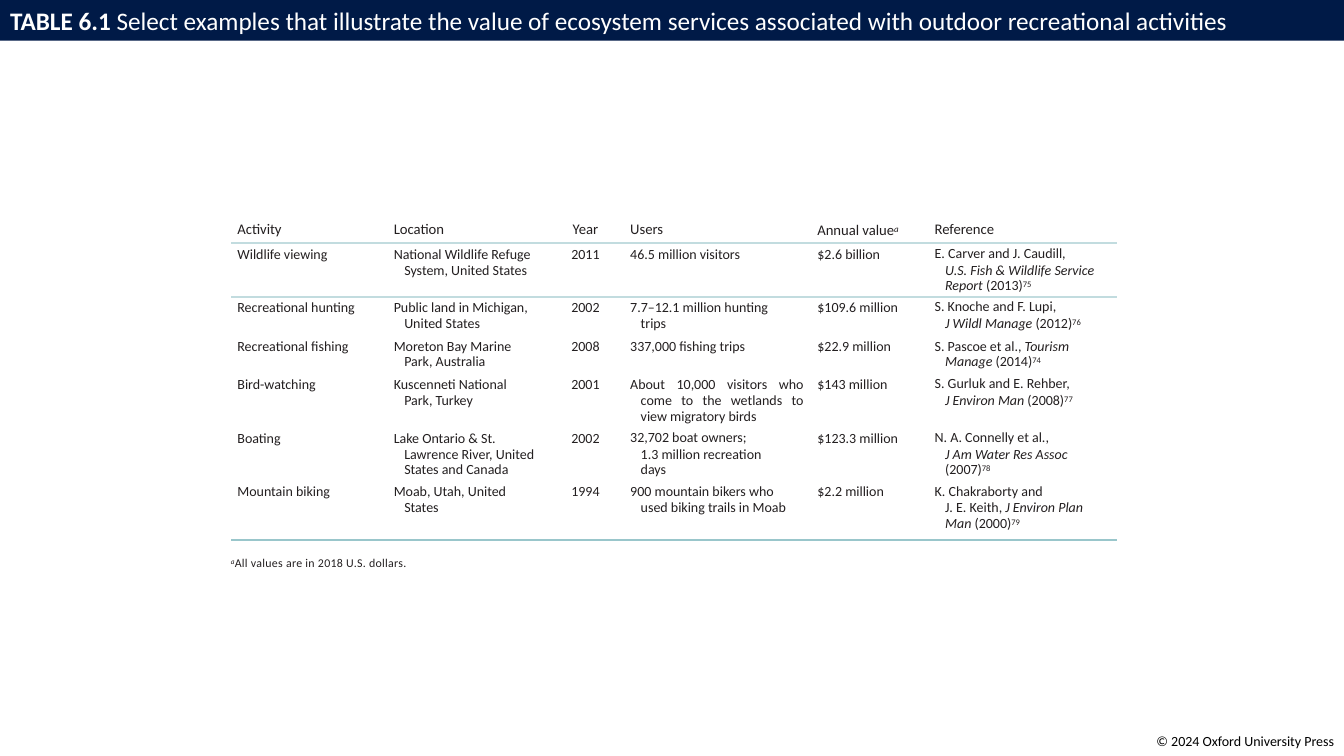
"""Build a slide with a table of ecosystem service values."""
from dataclasses import dataclass

from lxml.etree import SubElement
from pptx import Presentation
from pptx.dml.color import RGBColor
from pptx.enum.text import MSO_ANCHOR as Anchor, MSO_AUTO_SIZE as Fit, PP_ALIGN as Align
from pptx.oxml.ns import qn
from pptx.util import Pt

DARK, NAVY, WHITE, BLACK = "231F20", "001A47", "FFFFFF", "000000"
PALE, TEAL = "C2DCDF", "99C6CB"
HANG = 7.5
PLAIN_STYLE = "{2D5ABB26-0587-4C30-8999-92F81FD0307C}"


@dataclass
class Column:
    head: str
    width: float
    left: float
    right: float = 0
    hang: bool = False
    align: Align = Align.LEFT


COLUMNS = [
    Column("Activity", 108, 4.6),
    Column("Location", 126.7, 8.3, 14, True),
    Column("Year", 41, 0, 4, align=Align.CENTER),
    Column("Users", 138.2, 9.5, 5, True),
    Column("Annual value|_^a", 80.3, 5),
    Column("Reference", 138.7, 8.5, 10, True),
]
HEIGHTS = [15.8, 38.7, 27.5, 27.5, 38.3, 38.3, 41.8]
ROWS = [
    ["Wildlife viewing", "National Wildlife Refuge System, United States", "2011",
     "46.5 million visitors", "$2.6 billion",
     "E. Carver and J. Caudill,\n_U.S. Fish & Wildlife Service Report |(2013)|^75"],
    ["Recreational hunting", "Public land in Michigan, United States", "2002",
     "7.7–12.1 million hunting trips", "$109.6 million",
     "S. Knoche and F. Lupi,\n_J Wildl Manage |(2012)|^76"],
    ["Recreational fishing", "Moreton Bay Marine Park, Australia", "2008",
     "337,000 fishing trips", "$22.9 million",
     "S. Pascoe et al., |_Tourism Manage |(2014)|^74"],
    ["Bird-watching", "Kuscenneti National Park, Turkey", "2001",
     "About 10,000 visitors who come to the wetlands to view migratory birds",
     "$143 million", "S. Gurluk and E. Rehber,\n_J Environ Man |(2008)|^77"],
    ["Boating", "Lake Ontario & St. Lawrence River, United States and Canada", "2002",
     "32,702 boat owners;\n1.3 million recreation days", "$123.3 million",
     "N. A. Connelly et al.,\n_J Am Water Res Assoc\n(2007)|^78"],
    ["Mountain biking", "Moab, Utah, United States", "1994",
     "900 mountain bikers who used biking trails in Moab", "$2.2 million",
     "K. Chakraborty and\nJ. E. Keith, |_J Environ Plan Man |(2000)|^79"],
]
RIGHTS = {(2, 3): 18, (3, 1): 28, (4, 1): 28, (5, 3): 18}
ALIGNS = {(4, 3): Align.JUSTIFY}
RULES = {0: PALE, 1: PALE, 6: TEAL}


def ink(code: str) -> RGBColor:
    return RGBColor.from_string(code)


def write(para, text: str, size: float = 10, color: str = DARK, align=Align.LEFT,
          left: float = 0, first: float = 0, right: float = 0, line: float = 0,
          before: float = 0, gap: float = 0) -> None:
    """Fill a paragraph; pieces split by | may start with * bold, _ italic, ^ raised."""
    para.alignment = align
    props = para._p.get_or_add_pPr()
    for name, value in (("marL", left), ("marR", right), ("indent", first)):
        props.set(name, f"{int(Pt(value))}")
    if line:
        para.line_spacing = Pt(line)
    if before:
        para.space_before = Pt(before)
    for piece in text.split("|"):
        body = piece.lstrip("*_^")
        marks = piece[:len(piece) - len(body)]
        run = para.add_run()
        run.text = body
        font = run.font
        font.name, font.bold, font.italic = "Calibri", "*" in marks, "_" in marks
        font.size = Pt(size + 0.5 if "^" in marks else size)
        font.color.rgb = ink(color)
        tags = run._r.get_or_add_rPr()
        if "^" in marks:
            tags.set("baseline", "20000")
        if gap:
            tags.set("spc", f"{round(gap * 100)}")


def pad(frame, left: float = 0, top: float = 0, right: float = 0, bottom: float = 0) -> None:
    frame.margin_left, frame.margin_top = Pt(left), Pt(top)
    frame.margin_right, frame.margin_bottom = Pt(right), Pt(bottom)


def rule(cell, color: str) -> None:
    edge = SubElement(cell._tc.get_or_add_tcPr(), qn("a:lnB"), w=f"{int(Pt(1.5))}")
    fill = SubElement(edge, qn("a:solidFill"))
    SubElement(fill, qn("a:srgbClr"), val=color)
    cell._tc.tcPr.insert(0, edge)


def fill_cell(cell, text: str, row: int, index: int) -> None:
    col = COLUMNS[index]
    lines = text.split("\n")
    hung = row > 0 and col.hang and len(lines) == 1
    top = 0 if row == 0 else (2.2 if row == 1 else 1.6) + hung
    pad(cell, top=top)
    cell.vertical_anchor = Anchor.TOP
    cell.fill.background()
    for place, line in enumerate(lines):
        para = cell.text_frame.add_paragraph() if place else cell.text_frame.paragraphs[0]
        pitch = 11.2 if hung or place else 11.6 if len(lines) > 1 else 0
        write(para, line, size=10 if row else 10.5,
              align=ALIGNS.get((row, index), col.align),
              left=col.left + (HANG if hung or place else 0),
              first=-HANG if hung else 0,
              right=RIGHTS.get((row, index), col.right) if row else col.right,
              line=pitch, before=0.6 if place == 1 else 0)
    if row in RULES:
        rule(cell, RULES[row])


def add_grid(slide) -> None:
    data = [[col.head for col in COLUMNS], *ROWS]
    frame = slide.shapes.add_table(len(data), len(COLUMNS), Pt(165), Pt(157.8),
                                   Pt(sum(col.width for col in COLUMNS)), Pt(sum(HEIGHTS)))
    grid = frame.table
    grid.first_row = grid.horz_banding = False
    grid._tbl.tblPr.find(qn("a:tableStyleId")).text = PLAIN_STYLE
    for slot, col in zip(grid.columns, COLUMNS):
        slot.width = Pt(col.width)
    for row, (texts, height) in enumerate(zip(data, HEIGHTS)):
        grid.rows[row].height = Pt(height)
        for index, text in enumerate(texts):
            fill_cell(grid.cell(row, index), text, row, index)


def add_text(slide, box: tuple, text: str, wrap: bool = True, **style):
    frame = slide.shapes.add_textbox(*map(Pt, box)).text_frame
    frame.word_wrap = wrap
    write(frame.paragraphs[0], text, **style)
    return frame


def add_title(slide, text: str) -> None:
    title = slide.shapes.title
    title.left, title.top, title.width, title.height = map(Pt, (0, 0, 960, 29))
    title.fill.solid()
    title.fill.fore_color.rgb = ink(NAVY)
    frame = title.text_frame
    frame.auto_size, frame.word_wrap = Fit.NONE, True
    frame.vertical_anchor = Anchor.MIDDLE
    pad(frame, 7.2, 3.6, 7.2, 3.6)
    write(frame.paragraphs[0], text, size=18, color=WHITE, line=0)


def main() -> None:
    deck = Presentation()
    deck.slide_width, deck.slide_height = Pt(960), Pt(540)
    slide = deck.slides.add_slide(deck.slide_layouts[5])
    add_title(slide, "*TABLE 6.1 |Select examples that illustrate the value of ecosystem "
                     "services associated with outdoor recreational activities")
    add_grid(slide)
    note = add_text(slide, (162, 395.3, 148.3, 12.2), "_^a|All values are in 2018 U.S. dollars.",
                    size=8.5, left=2.9, gap=0.2)
    pad(note, top=1.1)
    add_text(slide, (816, 520, 144, 19.4), "© 2024 Oxford University Press",
             wrap=False, color=BLACK, align=Align.RIGHT)
    deck.save("out.pptx")


if __name__ == "__main__":
    main()
